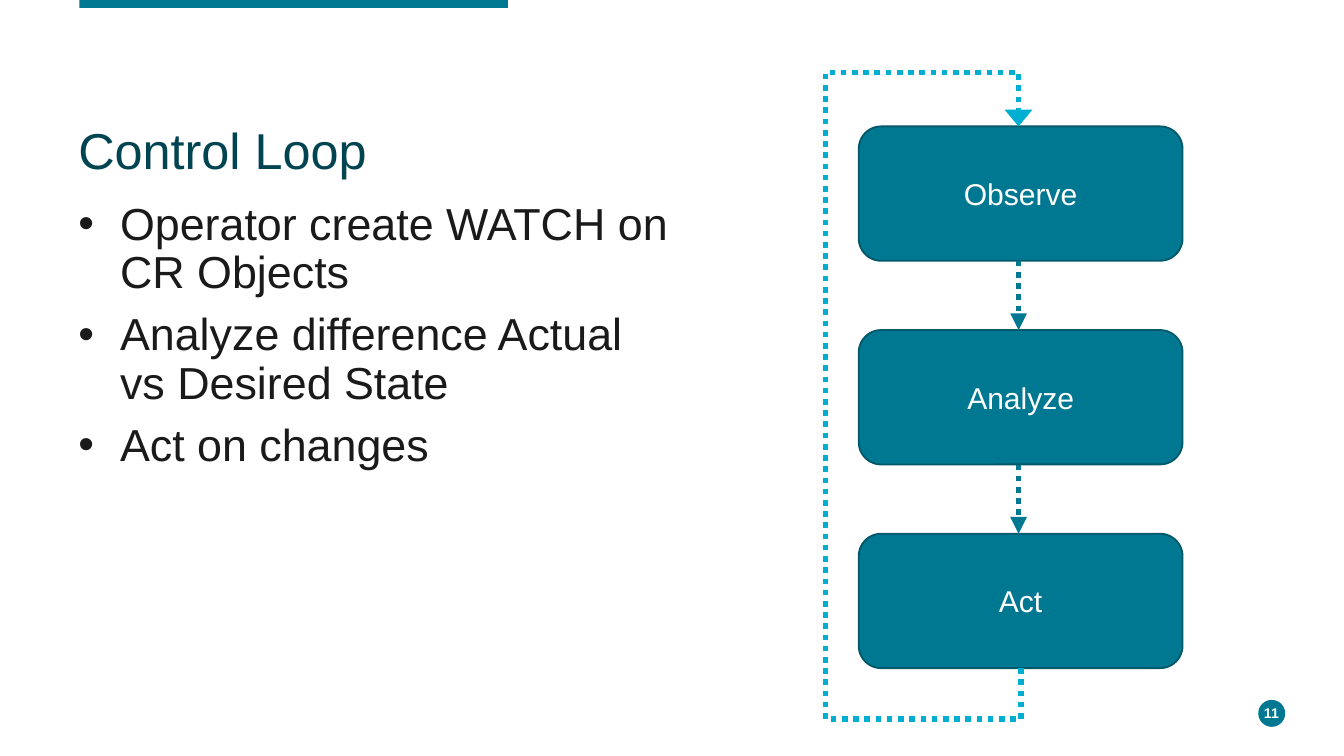
from pptx import Presentation
from pptx.dml.color import RGBColor
from pptx.enum.dml import MSO_LINE
from pptx.enum.shapes import MSO_CONNECTOR, MSO_SHAPE
from pptx.enum.text import MSO_ANCHOR as Anchor, PP_ALIGN as Align
from pptx.oxml.ns import qn
from pptx.util import Cm, Pt
from lxml.etree import SubElement

TEAL = RGBColor(0x00, 0x78, 0x91)
DARK_TEAL = RGBColor(0x00, 0x59, 0x6B)
TITLE_TEAL = RGBColor(0x00, 0x44, 0x52)
CYAN = RGBColor(0x00, 0xAE, 0xD2)
INK = RGBColor(0x1A, 0x1A, 0x1A)
WHITE = RGBColor(0xFF, 0xFF, 0xFF)

STEPS = ["Observe", "Analyze", "Act"]
POINTS = [
    "Operator create WATCH on CR Objects",
    "Analyze difference Actual vs Desired State",
    "Act on changes",
]

# Flow geometry in centimetres
BOX_LEFT, BOX_TOP, BOX_WIDTH, BOX_HEIGHT = 16.23, 2.39, 6.12, 2.54
BOX_PITCH = 3.85
ARROW_X = 19.25
LOOP_START_X, LOOP_LEFT, LOOP_TOP, LOOP_BOTTOM = 19.3, 15.6, 1.37, 13.59


def set_all(target, values):
    for name, value in values.items():
        setattr(target, name, value)


def write(frame, lines, font, para_format):
    """Fill a text frame with one paragraph per line."""
    frame.word_wrap = True
    for index, line in enumerate(lines):
        para = frame.paragraphs[0] if index == 0 else frame.add_paragraph()
        set_all(para, para_format)
        span = para.add_run()
        span.text = line
        values = dict(font)
        span.font.color.rgb = values.pop("color")
        set_all(span.font, {"name": "Arial", **values})


def add_text(page, place, lines, font, para_format, anchor=Anchor.TOP):
    box = page.shapes.add_textbox(*map(Cm, place))
    frame = box.text_frame
    margins = ("margin_left", "margin_top", "margin_right", "margin_bottom")
    set_all(frame, dict.fromkeys(margins, 0))
    frame.vertical_anchor = anchor
    write(frame, lines, font, para_format)
    return box


def add_bullets(box, indent):
    for para in box.text_frame.paragraphs:
        props = para._p.get_or_add_pPr()
        props.set("marL", str(Cm(indent)))
        props.set("indent", str(-Cm(indent)))
        SubElement(props, qn("a:buFont"), typeface="Arial")
        SubElement(props, qn("a:buChar"), char="•")


def add_block(page, kind, place, outline=None):
    block = page.shapes.add_shape(kind, *map(Cm, place))
    block.shadow.inherit = False
    block.fill.solid()
    block.fill.fore_color.rgb = TEAL
    if outline is None:
        block.line.fill.background()
    else:
        block.line.color.rgb = outline
        block.line.width = Pt(1)
    return block


def style_arrow(line, color, head_width):
    line.color.rgb = color
    set_all(line, {"width": Pt(3), "dash_style": MSO_LINE.ROUND_DOT})
    SubElement(line._get_or_add_ln(), qn("a:tailEnd"),
               type="triangle", w=head_width, len="med")


def add_step(page, name, top):
    block = add_block(page, MSO_SHAPE.ROUNDED_RECTANGLE,
                      (BOX_LEFT, top, BOX_WIDTH, BOX_HEIGHT), DARK_TEAL)
    block.text_frame.vertical_anchor = Anchor.MIDDLE
    write(block.text_frame, [name], {"size": Pt(16.1), "color": WHITE},
          {"alignment": Align.CENTER})


def add_down_arrow(page, top, bottom):
    arrow = page.shapes.add_connector(
        MSO_CONNECTOR.STRAIGHT, Cm(ARROW_X), Cm(top), Cm(ARROW_X), Cm(bottom))
    style_arrow(arrow.line, TEAL, "med")
    SubElement(arrow._element.spPr, qn("a:effectLst"))


def add_loop_arrow(page, points):
    corners = [(Cm(x), Cm(y)) for x, y in points]
    builder = page.shapes.build_freeform(*corners[0])
    builder.add_line_segments(corners[1:], close=False)
    loop = builder.convert_to_shape()
    loop.shadow.inherit = False
    loop.fill.background()
    style_arrow(loop.line, CYAN, "lg")


def main():
    deck = Presentation()
    set_all(deck, {"slide_width": Cm(25.4), "slide_height": Cm(14.29)})
    page = deck.slides.add_slide(deck.slide_layouts[6])

    # Top bar and page number
    add_block(page, MSO_SHAPE.RECTANGLE, (1.5, 0, 8.1, 0.15))
    add_block(page, MSO_SHAPE.OVAL, (23.78, 13.23, 0.51, 0.51))
    add_text(page, (23.65, 13.27, 0.76, 0.41), ["11"],
             {"size": Pt(7.5), "bold": True, "color": WHITE},
             {"alignment": Align.CENTER}, Anchor.MIDDLE)

    # Title and bullet points
    add_text(page, (1.48, 2.39, 22.17, 1.14), ["Control Loop"],
             {"size": Pt(27), "color": TITLE_TEAL}, {"line_spacing": 0.9})
    body = add_text(page, (1.48, 3.81, 11.35, 8.81), POINTS,
                    {"size": Pt(24), "color": INK},
                    {"line_spacing": 0.9, "space_before": Pt(7.5)})
    add_bullets(body, 0.79)

    # Steps of the loop and the arrows between them
    tops = [BOX_TOP + BOX_PITCH * index for index in range(len(STEPS))]
    for name, top in zip(STEPS, tops):
        add_step(page, name, top)
    for top, next_top in zip(tops, tops[1:]):
        add_down_arrow(page, top + BOX_HEIGHT, next_top)

    # Return path from the last step to the first
    add_loop_arrow(page, [
        (LOOP_START_X, tops[-1] + BOX_HEIGHT),
        (LOOP_START_X, LOOP_BOTTOM),
        (LOOP_LEFT, LOOP_BOTTOM),
        (LOOP_LEFT, LOOP_TOP),
        (ARROW_X, LOOP_TOP),
        (ARROW_X, BOX_TOP),
    ])

    deck.save("out.pptx")


if __name__ == "__main__":
    main()
